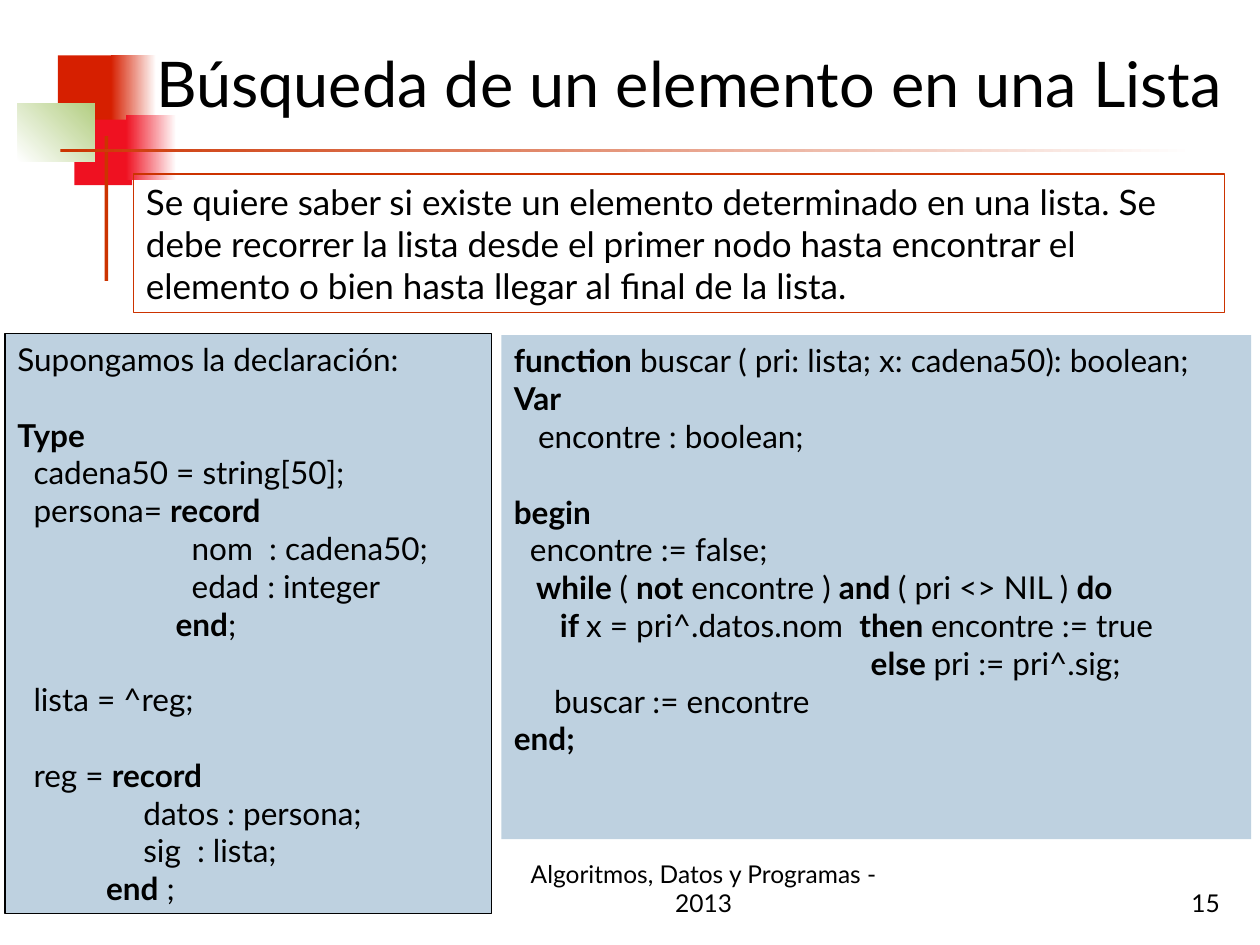
from typing import NamedTuple, Optional

from pptx import Presentation
from pptx.dml.color import RGBColor
from pptx.enum.shapes import MSO_SHAPE
from pptx.enum.text import MSO_ANCHOR, PP_ALIGN
from pptx.oxml.ns import qn
from pptx.util import Emu, Inches, Pt
from lxml import etree

RECTANGLE = MSO_SHAPE.RECTANGLE
TOP, BOTTOM = MSO_ANCHOR.TOP, MSO_ANCHOR.BOTTOM
LEFT, CENTER, RIGHT = PP_ALIGN.LEFT, PP_ALIGN.CENTER, PP_ALIGN.RIGHT

SLIDE_WIDTH, SLIDE_HEIGHT = Inches(10), Inches(7.5)
FONT = "Lato"
BLACK, WHITE, RUST = "000000", "FFFFFF", "CC3300"
RED, CRIMSON, GREEN, CODE_BLUE = "D61F00", "EF1121", "B3CE82", "BED1E0"
CODE_SIZE = 18
BLANK_LINE = 1.2 * CODE_SIZE


class Area(NamedTuple):
    """Left, top, width and height as percentages of the slide."""
    left: float
    top: float
    width: float
    height: float

    def lengths(self) -> list[Emu]:
        sides = (SLIDE_WIDTH, SLIDE_HEIGHT) * 2
        return [Emu(round(side * share / 100)) for side, share in zip(sides, self)]


class Block(NamedTuple):
    """A rectangle; an end colour turns its fill into a gradient."""
    area: Area
    fill: Optional[str] = None
    end: Optional[str] = None
    angle: float = 0
    line: Optional[str] = None


def color(value: str) -> RGBColor:
    return RGBColor.from_string(value)


def draw_block(slide, block: Block):
    shape = slide.shapes.add_shape(RECTANGLE, *block.area.lengths())
    shape.shadow.inherit = False
    if block.end:
        shape.fill.gradient()
        shape.fill.gradient_angle = block.angle
        for stop, value in zip(shape.fill.gradient_stops, (block.fill, block.end)):
            stop.color.rgb = color(value)
    elif block.fill:
        shape.fill.solid()
        shape.fill.fore_color.rgb = color(block.fill)
    else:
        shape.fill.background()
    if block.line:
        shape.line.color.rgb = color(block.line)
        shape.line.width = Pt(0.75)
    else:
        shape.line.fill.background()
    return shape


def add_tab_stops(paragraph) -> None:
    properties = paragraph._p.get_or_add_pPr()
    tabs = etree.SubElement(properties, qn("a:tabLst"))
    for inches in (1, 2):
        etree.SubElement(tabs, qn("a:tab"), pos=str(Inches(inches)), algn="l")


def write_text(shape, text: str, size: float = CODE_SIZE, align=LEFT,
               anchor=TOP, tabs: bool = False) -> None:
    """Write lines; ** switches bold, an empty line becomes space before the next."""
    frame = shape.text_frame
    frame.word_wrap = True
    frame.vertical_anchor = anchor
    paragraph, gap = None, 0
    for line in text.split("\n"):
        if not line:
            gap = BLANK_LINE
            continue
        paragraph = frame.add_paragraph() if paragraph else frame.paragraphs[0]
        paragraph.alignment = align
        if gap:
            paragraph.space_before, gap = Pt(gap), 0
        if tabs:
            add_tab_stops(paragraph)
        for index, part in enumerate(line.split("**")):
            if part:
                run = paragraph.add_run()
                run.text = part
                run.font.name = FONT
                run.font.size = Pt(size)
                run.font.bold = index % 2 == 1
                run.font.color.rgb = color(BLACK)


def draw_text(slide, area: Area, text: str, **text_format) -> None:
    write_text(slide.shapes.add_textbox(*area.lengths()), text, **text_format)


ORNAMENTS = (
    Block(Area(4.6, 5.87, 4.8, 6.93), RED),
    Block(Area(8.8, 5.87, 3.6, 6.93), RED, WHITE),
    Block(Area(5.9, 12.67, 4.6, 6.93), CRIMSON),
    Block(Area(10, 12.13, 4, 6.93), CRIMSON, WHITE),
    Block(Area(1.4, 10.93, 6.1, 6.13), WHITE, GREEN, angle=45),
    Block(Area(8.3, 14.4, 0.3, 15.33), RUST),
    Block(Area(4.8, 15.73, 90, 0.4), RUST, WHITE),
)

FUNCTION_CODE = """**function** buscar ( pri: lista; x: cadena50): boolean;
**Var**
   encontre : boolean;

**begin**
  encontre := false;
**   while **( **not** encontre ) **and **( pri <> NIL ) **do**
**      if **x = pri^.datos.nom  **then **encontre := true
\t\t             **else **pri := pri^.sig;
     buscar := encontre
**end;**"""

TYPE_CODE = """Supongamos la declaración:

**Type**
  cadena50 = string[50];
  persona= **record**
\t      nom  : cadena50;
\t      edad : integer
\t    **end**;

  lista = ^reg;

  reg = **record**
\tdatos : persona;
\tsig  : lista;
           **end** ;"""

STATEMENT = ("Se quiere saber si existe un elemento determinado en una lista. "
             "Se debe recorrer la lista desde el primer nodo hasta encontrar el "
             "elemento o bien hasta llegar al final de la lista.")


def main() -> None:
    presentation = Presentation()
    presentation.slide_width, presentation.slide_height = SLIDE_WIDTH, SLIDE_HEIGHT
    slide = presentation.slides.add_slide(presentation.slide_layouts[6])

    # Corner ornament and rules
    for ornament in ORNAMENTS:
        draw_block(slide, ornament)

    # Footer and slide number
    draw_text(slide, Area(40, 91.07, 31.7, 6.67), "Algoritmos, Datos y Programas - 2013",
              size=14, align=CENTER, anchor=BOTTOM)
    draw_text(slide, Area(77, 91.07, 20.8, 6.67), "15",
              size=14, align=RIGHT, anchor=BOTTOM)

    # Title
    draw_text(slide, Area(11.4, 4.4, 88.6, 8.93), "Búsqueda de un elemento en una Lista",
              size=36, anchor=BOTTOM)

    # Code panels
    function_panel = draw_block(slide, Block(Area(39.8, 35.47, 59.5, 53.33), CODE_BLUE))
    write_text(function_panel, FUNCTION_CODE, tabs=True)
    type_panel = draw_block(slide, Block(Area(0.4, 35.33, 38.6, 61.33), CODE_BLUE, line=BLACK))
    write_text(type_panel, TYPE_CODE, tabs=True)

    # Problem statement
    statement_box = draw_block(slide, Block(Area(10.6, 18.4, 86.6, 14.67), line=RUST))
    write_text(statement_box, STATEMENT, size=20)

    presentation.save("out.pptx")


if __name__ == "__main__":
    main()
